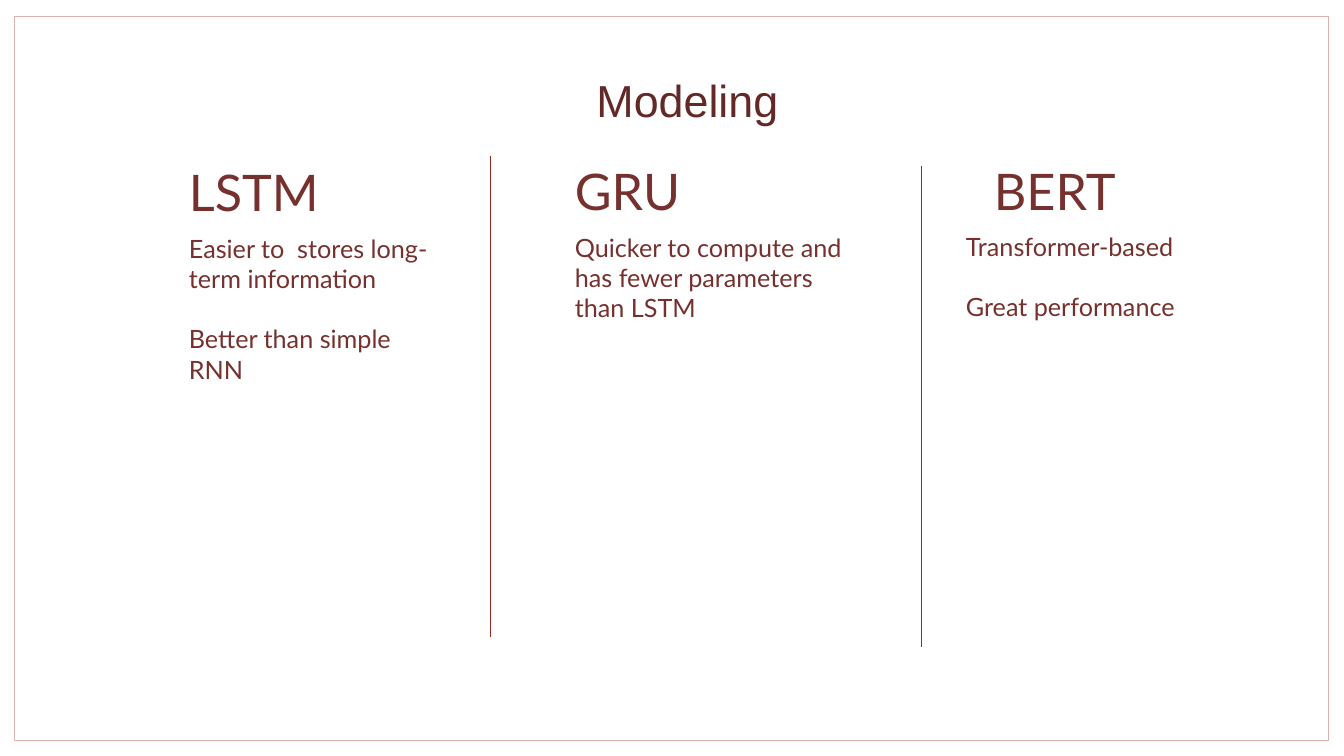
"""Build a slide that compares three text models in columns."""
from dataclasses import dataclass

from lxml import etree
from pptx import Presentation
from pptx.dml.color import RGBColor
from pptx.enum.shapes import MSO_CONNECTOR as Conn, MSO_SHAPE as Shape
from pptx.enum.text import MSO_AUTO_SIZE as Auto, PP_ALIGN as Align
from pptx.oxml.ns import qn
from pptx.util import Pt

TITLE = ("Modeling", (525, 73, 325, 54))
FRAME = (14, 16, 1314, 724)
COLUMNS = [
    {"head": "LSTM", "head_box": (179, 156, 218, 72), "body_box": (179, 228, 274, 132),
     "points": ["Easier to  stores long-term information", "Better than simple RNN"]},
    {"head": "GRU", "head_box": (565, 155, 180, 72), "body_box": (565, 227, 302, 102),
     "points": ["Quicker to compute and has fewer parameters than LSTM"]},
    {"head": "BERT", "head_box": (984, 155, 180, 72), "body_box": (956, 226, 302, 102),
     "points": ["Transformer-based", "Great performance"]},
]
DIVIDERS = [(490, 156), (921, 166)]
DIVIDER_HEIGHT = 481
SLIDE = (1344, 756)
EMU_PER_PX = 914400 / 100.8


@dataclass(frozen=True)
class Theme:
    paper: str = "FFFFFF"
    frame: str = "DEB2AF"
    divider: str = "9A2827"
    title: str = "622927"
    text: str = "76312F"
    title_font: str = "Arial"
    text_font: str = "Lato"
    title_size: int = 32
    head_size: int = 36
    body_size: int = 18
    line: float = 0.5
    point_gap: float = 21.6


T = Theme()


def px(*values):
    return [round(v * EMU_PER_PX) for v in values]


def rgb(color):
    return RGBColor.from_string(color)


def add_text(s, box, lines, size, font=T.text_font, color=T.text):
    tf = s.shapes.add_textbox(*px(*box)).text_frame
    tf.word_wrap = True
    tf.auto_size = Auto.SHAPE_TO_FIT_TEXT
    for i, line in enumerate(lines):
        p = tf.add_paragraph() if i else tf.paragraphs[0]
        if i:
            p.space_before = Pt(T.point_gap)
        r = p.add_run()
        r.text = line
        r.font.size, r.font.name = Pt(size), font
        r.font.color.rgb = rgb(color)
    return tf


def add_frame(s):
    sp = s.shapes.add_shape(Shape.RECTANGLE, *px(*FRAME))
    sp.shadow.inherit = False
    sp.fill.solid()
    sp.fill.fore_color.rgb = rgb(T.paper)
    sp.line.color.rgb = rgb(T.frame)
    sp.line.width = Pt(T.line)


def add_title(s):
    text, box = TITLE
    tf = add_text(s, box, [text], T.title_size, T.title_font, T.title)
    tf.margin_left = tf.margin_top = tf.margin_right = tf.margin_bottom = 0
    tf.paragraphs[0].alignment = Align.CENTER


def add_divider(s, x, top):
    line = s.shapes.add_connector(Conn.STRAIGHT, *px(x, top, x, top + DIVIDER_HEIGHT))
    line.line.color.rgb = rgb(T.divider)
    line.line.width = Pt(T.line)
    etree.SubElement(line._element.spPr, qn("a:effectLst"))


def main():
    prs = Presentation()
    prs.slide_width, prs.slide_height = px(*SLIDE)
    s = prs.slides.add_slide(prs.slide_layouts[6])
    s.background.fill.solid()
    s.background.fill.fore_color.rgb = rgb(T.paper)
    add_frame(s)
    add_title(s)
    for column in COLUMNS:
        add_text(s, column["body_box"], column["points"], T.body_size)
        add_text(s, column["head_box"], [column["head"]], T.head_size)
    for x, top in DIVIDERS:
        add_divider(s, x, top)
    prs.save("out.pptx")


if __name__ == "__main__":
    main()
